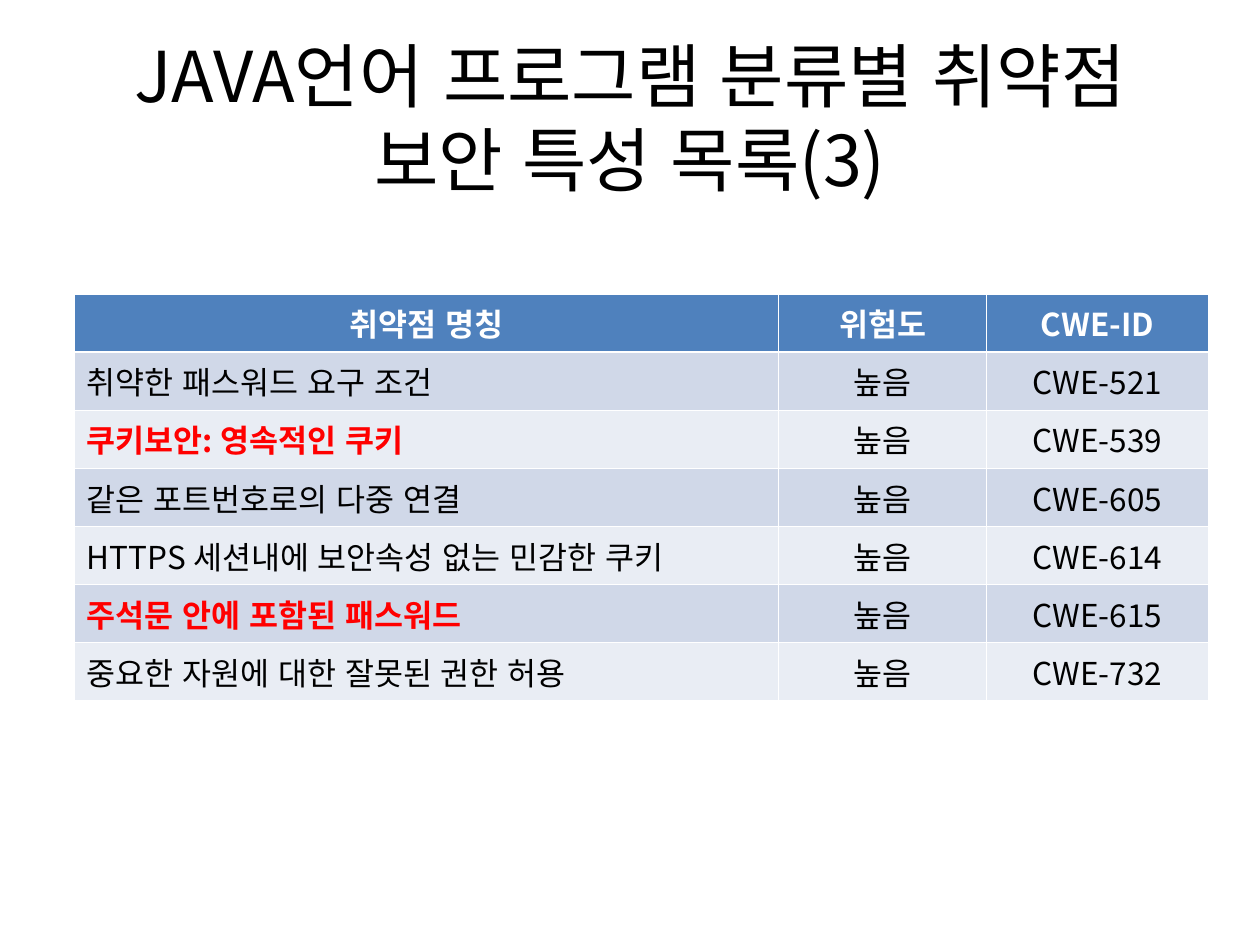
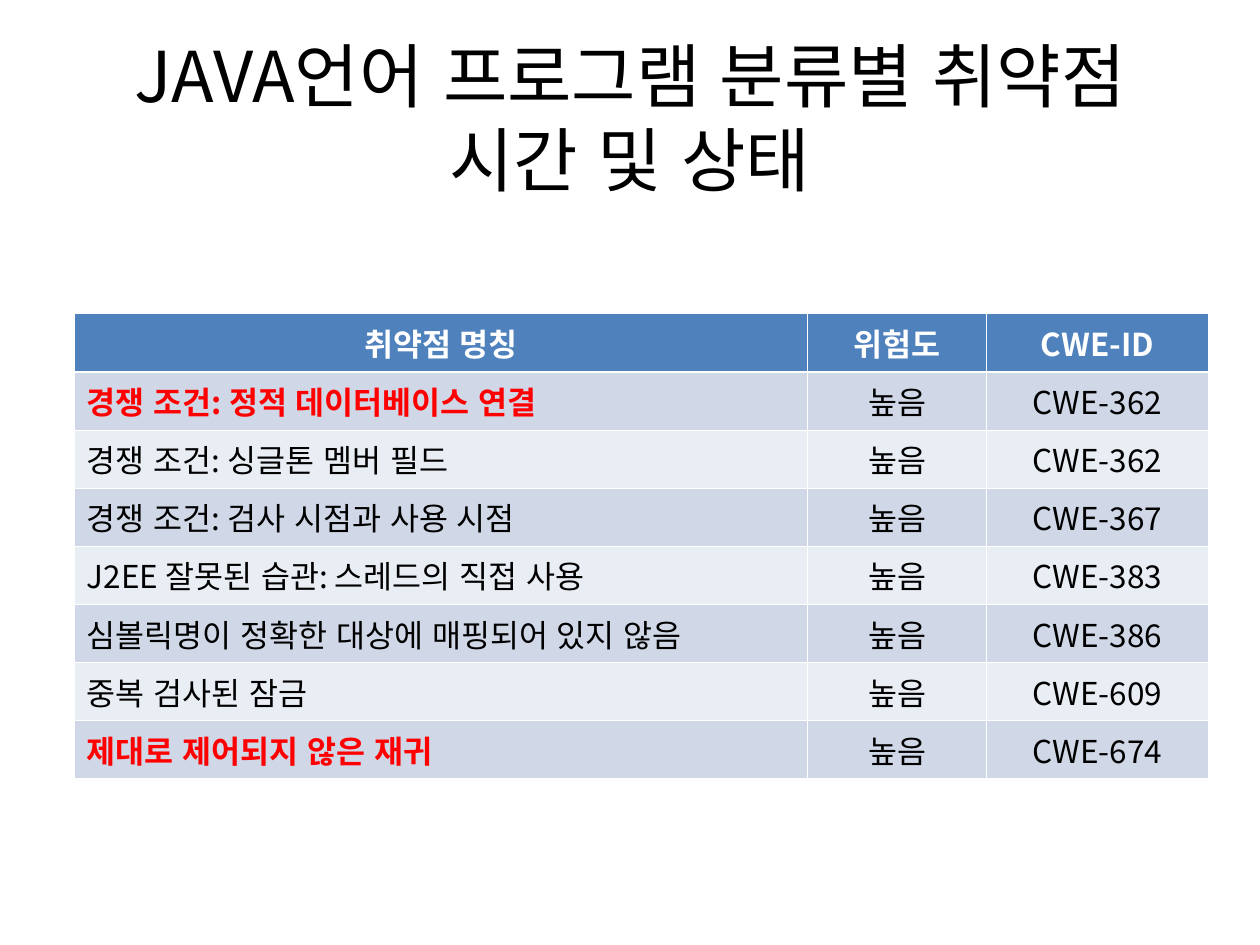
from lxml.etree import SubElement
from pptx import Presentation
from pptx.dml.color import RGBColor
from pptx.enum.lang import MSO_LANGUAGE_ID as Language
from pptx.enum.text import MSO_ANCHOR as Anchor, PP_ALIGN as Align
from pptx.oxml.ns import qn
from pptx.util import Inches, Pt

FONT_NAME = "Noto Sans CJK KR"
WHITE = RGBColor(0xFF, 0xFF, 0xFF)
BLACK = RGBColor(0x00, 0x00, 0x00)
RED = RGBColor(0xFF, 0x00, 0x00)
HEADER_BLUE = RGBColor(0x4F, 0x81, 0xBD)
BAND_DARK = RGBColor(0xD0, 0xD8, 0xE8)
BAND_LIGHT = RGBColor(0xE9, 0xED, 0xF4)

TITLE_FORMAT = {"size": Pt(40), "bold": False}
HEADER_FORMAT = {"size": Pt(18), "bold": True}
BODY_FORMAT = {"size": Pt(18), "bold": False}
HEADERS = ["취약점 명칭", "위험도", "CWE-ID"]
RISK = "높음"
THIN_LINE, THICK_LINE = Pt(0.45), Pt(1.47)

SLIDES = [
    {
        "title": "JAVA언어 프로그램 분류별 취약점 보안 특성 목록(3)",
        "top": 0.311,
        "columns": [5.59, 1.65, 1.76],
        "highlighted": {"CWE-539", "CWE-615"},
        "weaknesses": [
            ("취약한 패스워드 요구 조건", "CWE-521"),
            ("쿠키보안: 영속적인 쿠키", "CWE-539"),
            ("같은 포트번호로의 다중 연결", "CWE-605"),
            ("HTTPS 세션내에 보안속성 없는 민감한 쿠키", "CWE-614"),
            ("주석문 안에 포함된 패스워드", "CWE-615"),
            ("중요한 자원에 대한 잘못된 권한 허용", "CWE-732"),
        ],
    },
    {
        "title": "JAVA언어 프로그램 분류별 취약점\v시간 및 상태",
        "top": 0.332,
        "columns": [5.82, 1.42, 1.76],
        "highlighted": {"경쟁 조건: 정적 데이터베이스 연결", "CWE-674"},
        "weaknesses": [
            ("경쟁 조건: 정적 데이터베이스 연결", "CWE-362"),
            ("경쟁 조건: 싱글톤 멤버 필드", "CWE-362"),
            ("경쟁 조건: 검사 시점과 사용 시점", "CWE-367"),
            ("J2EE 잘못된 습관: 스레드의 직접 사용", "CWE-383"),
            ("심볼릭명이 정확한 대상에 매핑되어 있지 않음", "CWE-386"),
            ("중복 검사된 잠금", "CWE-609"),
            ("제대로 제어되지 않은 재귀", "CWE-674"),
        ],
    },
]


def write_text(text_frame, text, alignment, color, font_format):
    paragraph = text_frame.paragraphs[0]
    paragraph.text = text
    paragraph.alignment = alignment
    for run in paragraph.runs:
        for name, value in font_format.items():
            setattr(run.font, name, value)
        run.font.language_id = Language.KOREAN
        run.font.color.rgb = color
        run.font.name = FONT_NAME
        SubElement(run.font._element, qn("a:ea"), typeface=FONT_NAME)


def add_borders(cell, top_width, bottom_width):
    properties = cell._tc.get_or_add_tcPr()
    widths = {"lnL": THIN_LINE, "lnR": THIN_LINE, "lnT": top_width, "lnB": bottom_width}
    for side, width in widths.items():
        line = SubElement(properties, qn(f"a:{side}"), w=str(int(width)))
        fill = SubElement(line, qn("a:solidFill"))
        SubElement(fill, qn("a:srgbClr"), val=str(WHITE))


presentation = Presentation()
presentation.slide_width = Inches(10)
presentation.slide_height = Inches(7.5)
width, height = presentation.slide_width, presentation.slide_height
row_height = int(height * 0.0615)

for content in SLIDES:
    slide = presentation.slides.add_slide(presentation.slide_layouts[6])

    title = slide.shapes.add_textbox(
        int(width * 0.05), int(height * 0.04), int(width * 0.9), int(height / 6)
    )
    title.text_frame.word_wrap = True
    title.text_frame.vertical_anchor = Anchor.MIDDLE
    write_text(title.text_frame, content["title"], Align.CENTER, BLACK, TITLE_FORMAT)

    rows = [HEADERS] + [(name, RISK, code) for name, code in content["weaknesses"]]
    table = slide.shapes.add_table(
        len(rows), len(HEADERS), int(width * 0.059), int(height * content["top"]),
        int(width * 0.9), row_height * len(rows)
    ).table
    for column, column_width in zip(table.columns, content["columns"]):
        column.width = Inches(column_width)

    for row_index, row in enumerate(rows):
        table.rows[row_index].height = row_height
        is_header = row_index == 0
        is_highlighted = bool(content["highlighted"].intersection(row))
        band = BAND_DARK if row_index % 2 else BAND_LIGHT
        for column_index, text in enumerate(row):
            cell = table.cell(row_index, column_index)
            add_borders(
                cell,
                THICK_LINE if row_index == 1 else THIN_LINE,
                THICK_LINE if is_header else THIN_LINE,
            )
            cell.fill.solid()
            cell.fill.fore_color.rgb = HEADER_BLUE if is_header else band
            is_name = column_index == 0 and not is_header
            is_warning = is_name and is_highlighted
            write_text(
                cell.text_frame,
                text,
                Align.LEFT if is_name else Align.CENTER,
                WHITE if is_header else RED if is_warning else BLACK,
                HEADER_FORMAT if is_header or is_warning else BODY_FORMAT,
            )

presentation.save("out.pptx")
